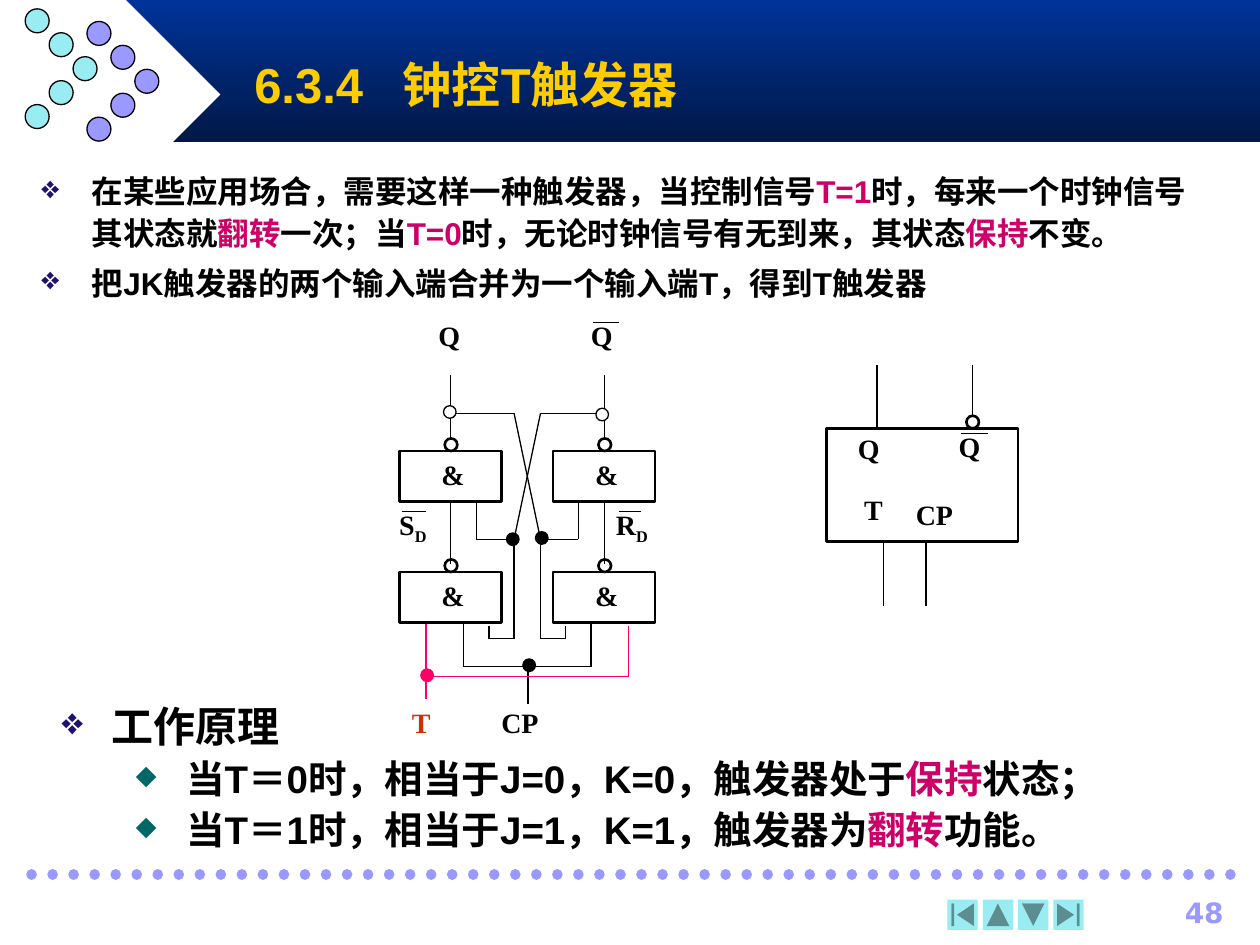
import itertools

import pptx
import pptx.dml.color
import pptx.enum.shapes
import pptx.enum.text
import pptx.oxml
import pptx.oxml.ns
import pptx.util
from pptx.util import Inches

COLORS = {
    "black": "000000", "white": "FFFFFF", "navy": "003399", "midnight": "001847",
    "violet": "9999FF", "aqua": "98ECF2", "gold": "FFCC00", "magenta": "CC0066",
    "pink": "FF0066", "red": "CC3300", "indigo": "1E116F", "teal": "006666",
}
SHAPE = pptx.enum.shapes.MSO_SHAPE
ALIGN = pptx.enum.text.PP_ALIGN
ANCHOR = pptx.enum.text.MSO_ANCHOR


def rgb(name):
    return pptx.dml.color.RGBColor.from_string(COLORS[name])


def add_xml(parent, tag, **attributes):
    child = pptx.oxml.parse_xml(f"<a:{tag} {pptx.oxml.ns.nsdecls('a')}/>")
    for key, value in attributes.items():
        child.set(key, value)
    parent.append(child)
    return child


def add_shape(page, kind, left, top, width, height, fill=None, line=None, weight=0.75):
    shape = page.shapes.add_shape(kind, Inches(left), Inches(top), Inches(width), Inches(height))
    shape.shadow.inherit = False
    if fill:
        shape.fill.solid()
        shape.fill.fore_color.rgb = rgb(fill)
    else:
        shape.fill.background()
    if line:
        shape.line.color.rgb = rgb(line)
        shape.line.width = pptx.util.Pt(weight)
    else:
        shape.line.fill.background()
    return shape


def add_line(page, start, end, color="black", weight=0.75):
    line = page.shapes.add_connector(
        pptx.enum.shapes.MSO_CONNECTOR.STRAIGHT, *map(Inches, (*start, *end)))
    line.line.color.rgb = rgb(color)
    line.line.width = pptx.util.Pt(weight)
    add_xml(line._element.spPr, "effectLst")
    return line


def add_wire(page, origin, points, color="black"):
    """Draw a chain of straight lines through points given from the origin."""
    placed = [(origin[0] + x, origin[1] + y) for x, y in points]
    for start, end in itertools.pairwise(placed):
        add_line(page, start, end, color)


def add_box(page, left, top, width, height):
    box = page.shapes.add_textbox(Inches(left), Inches(top), Inches(width), Inches(height))
    box.text_frame.word_wrap = True
    return box.text_frame


def style(para, size, font="Arial", color="black"):
    para.font.size = pptx.util.Pt(size)
    para.font.name = font
    para.font.bold = True
    para.font.color.rgb = rgb(color)


def add_label(page, left, top, width, text, color="black", subscript=None, align=ALIGN.LEFT):
    para = add_box(page, left, top, width, 0.37).paragraphs[0]
    para.alignment = align
    para.add_run().text = text
    if subscript:
        span = para.add_run()
        span.text = subscript
        span.font._element.set("baseline", "-25000")
    style(para, 16, "Times New Roman", color)


def add_bullet(para, text, size, bullet, bullet_color, margin=0.4, percent=100, font="Arial"):
    """Fill a bulleted paragraph; words between bars are highlighted."""
    props = para._p.get_or_add_pPr()
    props.set("marL", str(Inches(margin)))
    props.set("indent", str(Inches(-0.4)))
    add_xml(add_xml(props, "buClr"), "srgbClr", val=COLORS[bullet_color])
    add_xml(props, "buSzPct", val=str(percent * 1000))
    add_xml(props, "buChar", char=bullet)
    para.line_spacing = 1.1
    for index, part in enumerate(text.split("|")):
        span = para.add_run()
        span.text = part
        if index % 2:
            span.font.color.rgb = rgb("magenta")
    style(para, size, font)


def draw_header(page, left, top):
    banner = add_shape(page, SHAPE.RECTANGLE, left + 1, top, 9, 1.13, "navy")
    banner.fill.gradient()
    banner.fill.gradient_angle = 270
    for stop, color, position in zip(banner.fill.gradient_stops, ("navy", "midnight"), (0, 1)):
        stop.color.rgb = rgb(color)
        stop.position = position
    add_shape(page, SHAPE.DIAMOND, left + 0.25, top, 1.5, 1.5, "white")
    # Two chevrons of dots
    for x, y, color in ((0.69, 0.17, "violet"), (0.2, 0.07, "aqua")):
        for row in range(5):
            column = 2 - abs(row - 2)
            add_shape(page, SHAPE.OVAL, left + x + 0.19 * column, top + y + 0.19 * row,
                      0.19, 0.19, color, "black")
    # Title, with a tab between number and name
    frame = add_box(page, left + 1.92, top + 0.33, 7.5, 0.67)
    frame.vertical_anchor = ANCHOR.MIDDLE
    para = frame.paragraphs[0]
    para.text = "6.3.4\t钟控T触发器"
    tabs = add_xml(para._p.get_or_add_pPr(), "tabLst")
    add_xml(tabs, "tab", pos=str(Inches(1.18)), algn="l")
    style(para, 28, color="gold")


def draw_introduction(page, left, top, width, height):
    frame = add_box(page, left, top, width, height)
    add_bullet(frame.paragraphs[0],
               "在某些应用场合，需要这样一种触发器，当控制信号|T=1|时，每来一个时钟信号其状态就"
               "|翻转|一次；当|T=0|时，无论时钟信号有无到来，其状态|保持|不变。", 18, "❖", "indigo")
    para = frame.add_paragraph()
    add_bullet(para, "把JK触发器的两个输入端合并为一个输入端T，得到T触发器", 18, "❖", "indigo")
    para.space_before = pptx.util.Pt(4.5)


def draw_gate(page, left, top):
    gate = add_shape(page, SHAPE.RECTANGLE, left, top, 0.81, 0.4, line="black", weight=1.5)
    add_shape(page, SHAPE.OVAL, left + 0.36, top - 0.1, 0.1, 0.1, line="black", weight=1.5)
    add_label(page, left + 0.12, top, 0.61, "&", align=ALIGN.CENTER)
    return gate


def draw_circuit(page, left, top):
    origin = (left, top)
    # Gates, output stems and the links between rows
    for x in (0, 1.22):
        upper = draw_gate(page, left + x, top + 1.1)
        draw_gate(page, left + x, top + 2.06)
        middle = x + 0.405
        add_wire(page, origin, [(middle, 0.5), (middle, 1)])
        link = add_line(page, (left + middle, top + 1.5), (left + middle, top + 2))
        link.begin_connect(upper, 2)
    # Cross coupling, feedback and clock
    for points in (
        [(0.41, 0.8), (0.91, 0.8), (1.12, 1.8), (1.42, 1.8), (1.42, 1.5)],
        [(1.62, 0.8), (1.12, 0.8), (0.91, 1.8), (0.61, 1.8), (0.61, 1.5)],
        [(0.71, 2.49), (0.71, 2.59), (0.91, 2.59), (0.91, 1.78)],
        [(1.32, 2.49), (1.32, 2.59), (1.12, 2.59), (1.12, 1.78)],
        [(0.51, 2.47), (0.51, 2.81), (1.52, 2.81), (1.52, 2.47)],
        [(1.02, 2.8), (1.02, 3.11)],
        # Overbars
        [(1.54, 0.08), (1.74, 0.08)],
        [(0.02, 1.58), (0.21, 1.58)],
        [(1.74, 1.58), (1.92, 1.58)],
    ):
        add_wire(page, origin, points)
    # T input
    add_wire(page, origin, [(0.21, 2.47), (0.21, 3.07)], "pink")
    add_wire(page, origin, [(1.82, 2.49), (1.82, 2.89), (0.21, 2.89)], "pink")
    # Junctions
    for x, y, fill, line in (
        (0.35, 0.74, "white", "black"), (1.56, 0.76, "white", "black"),
        (0.98, 2.75, "black", "black"), (0.85, 1.75, "black", "black"),
        (1.08, 1.74, "black", "black"), (0.17, 2.83, "pink", "pink"),
    ):
        add_shape(page, SHAPE.OVAL, left + x, top + y, 0.1, 0.1, fill, line)
    for x, y, text, color, subscript in (
        (0.21, 0, "Q", "black", None), (1.42, 0, "Q", "black", None),
        (-0.1, 1.5, "S", "black", "D"), (1.62, 1.5, "R", "black", "D"),
        (0, 3.07, "T", "red", None), (0.71, 3.07, "CP", "black", None),
    ):
        add_label(page, left + x, top + y, 0.71, text, color, subscript)


def draw_symbol(page, left, top):
    add_shape(page, SHAPE.RECTANGLE, left, top + 0.5, 1.52, 0.9, line="black", weight=1.5)
    add_shape(page, SHAPE.OVAL, left + 1.11, top + 0.4, 0.1, 0.1, line="black", weight=1.5)
    # Pins and the overbar
    for x, start, end in ((0.4, 0, 0.5), (1.16, 0, 0.4), (0.45, 1.41, 1.91), (0.79, 1.41, 1.91)):
        add_wire(page, (left, top), [(x, start), (x, end)])
    add_wire(page, (left, top), [(1.07, 0.54), (1.28, 0.54)])
    for x, y, text in ((0.15, 0.48, "Q"), (0.95, 0.46, "Q"), (0.2, 0.96, "T"), (0.61, 1, "CP")):
        add_label(page, left + x, top + y, 0.61, text)


def draw_principle(page, left, top, width, height):
    frame = add_box(page, left, top, width, height)
    add_bullet(frame.paragraphs[0], "工作原理", 24, "❖", "indigo", percent=90,
               font="Times New Roman")
    for text in ("当T＝0时，相当于J=0，K=0，触发器处于|保持|状态；",
                 "当T＝1时，相当于J=1，K=1，触发器为|翻转|功能。"):
        para = frame.add_paragraph()
        para.level = 1
        add_bullet(para, text, 22, "◆", "teal", margin=0.99, percent=70)


def draw_footer(page, left, top):
    rule = add_line(page, (left + 0.25, top), (left + 9.83, top), "violet", 6)
    outline = rule.line._get_or_add_ln()
    outline.set("cap", "rnd")
    add_xml(outline, "prstDash", val="sysDot")
    # Navigation buttons
    for index, (kind, turn) in enumerate((
        (SHAPE.ACTION_BUTTON_BEGINNING, 0), (SHAPE.ACTION_BUTTON_BACK_OR_PREVIOUS, 90),
        (SHAPE.ACTION_BUTTON_FORWARD_OR_NEXT, 90), (SHAPE.ACTION_BUTTON_END, 0),
    )):
        button = add_shape(page, kind, left + 7.52 + 0.28 * index, top + 0.2, 0.24, 0.24, "aqua")
        button.rotation = turn
    para = add_box(page, left + 8.86, top + 0.12, 0.95, 0.33).paragraphs[0]
    para.text = "48"
    para.alignment = ALIGN.RIGHT
    style(para, 16, "DejaVu Sans", "violet")


def main():
    deck = pptx.Presentation()
    deck.slide_width, deck.slide_height = Inches(10), Inches(7.5)
    page = deck.slides.add_slide(deck.slide_layouts[6])
    draw_header(page, 0, 0)
    draw_footer(page, 0, 6.94)
    draw_introduction(page, 0.23, 1.29, 9.42, 1.3)
    draw_circuit(page, 3.17, 2.48)
    draw_symbol(page, 6.56, 2.9)
    draw_principle(page, 0.39, 5.47, 9.46, 1.35)
    deck.save("out.pptx")


if __name__ == "__main__":
    main()
